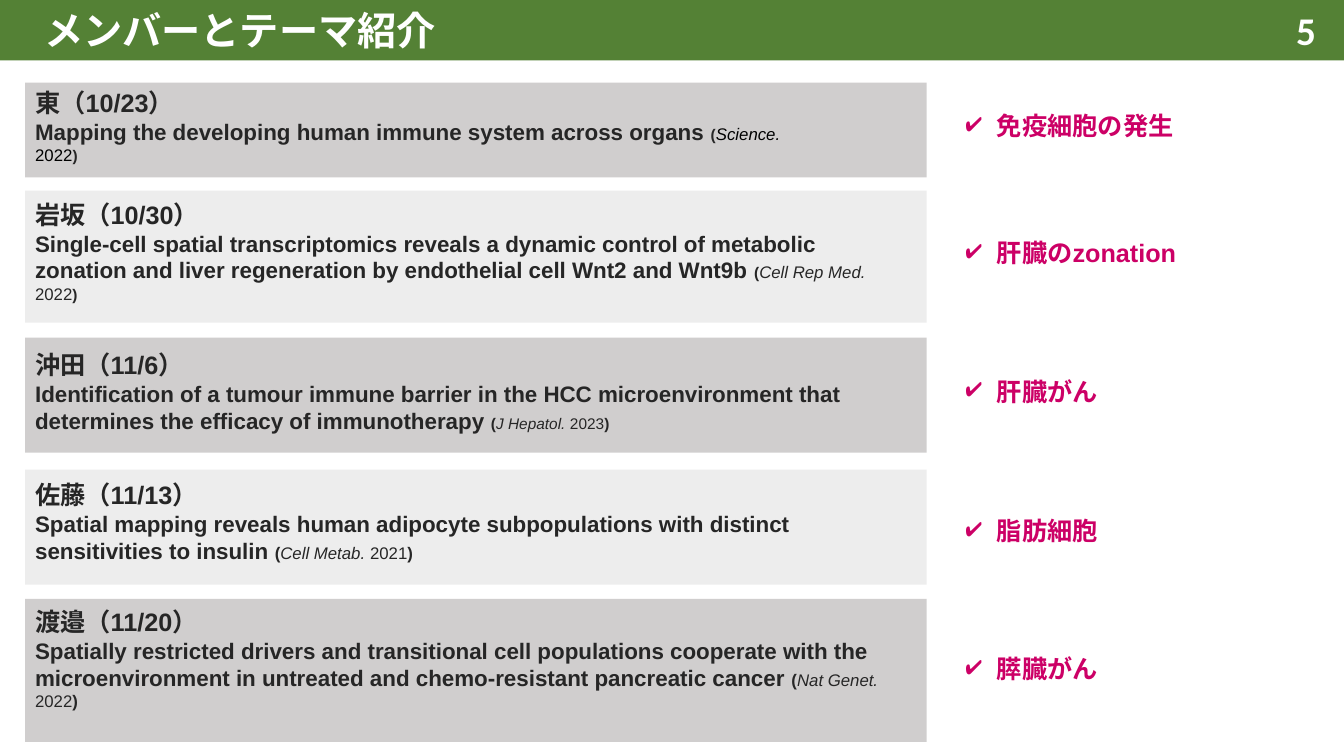
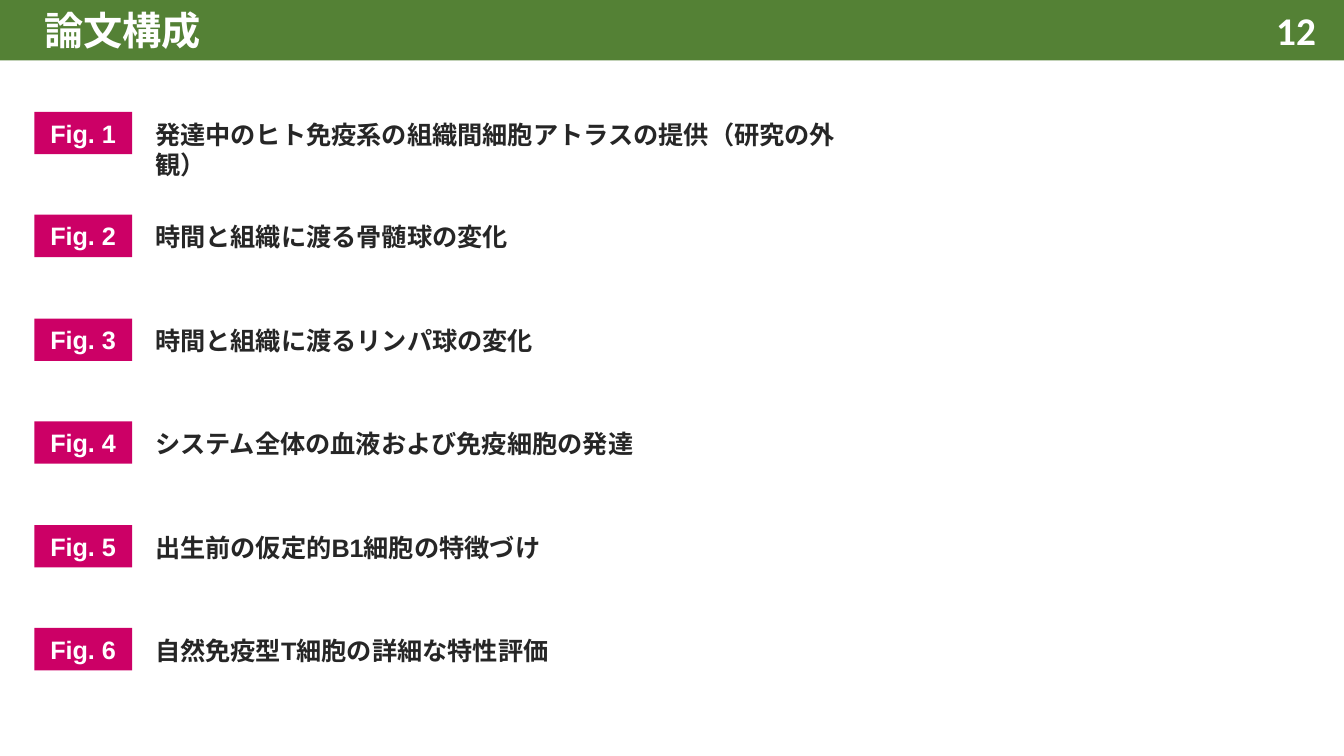
"""Build the member and paper-outline slides."""
import pptx
import pptx.util
import pptx.dml.color
import pptx.enum.lang
import pptx.enum.shapes
import pptx.enum.text
import pptx.oxml.ns
import lxml.etree

PX = 9144
WIDE, HIGH = 1333, 750
ALIGN = pptx.enum.text.PP_ALIGN
MID = pptx.enum.text.MSO_ANCHOR.MIDDLE

THEME = {
    "green": "548135", "pink": "CC0066", "ink": "262626",
    "white": "FFFFFF", "black": "000000", "bands": ("D0CECE", "EDEDED"),
    "font": "Arial", "digit": "Calibri",
    "head": 28, "body": 18, "paper": 16,
}

MEMBERS = [
    {"name": "東（10/23）", "topic": "免疫細胞の発生",
     "paper": "Mapping the developing human immune system across organs",
     "source": ("Science. ", "2022"), "sizes": (11, 12), "tint": "black",
     "band": (82, 94), "text": (82, 802), "tick": 105},
    {"name": "岩坂（10/30）", "topic": "肝臓のzonation",
     "paper": "Single-cell spatial transcriptomics reveals a dynamic control of metabolic "
              "zonation and liver regeneration by endothelial cell Wnt2 and Wnt9b",
     "source": ("Cell Rep Med. ", "2022"), "sizes": (11, 12), "tint": "ink",
     "band": (189, 131), "text": (193, 877), "tick": 231},
    {"name": "沖田（11/6）", "topic": "肝臓がん",
     "paper": "Identification of a tumour immune barrier in the HCC microenvironment that "
              "determines the efficacy of immunotherapy",
     "source": ("J Hepatol. ", "2023"), "sizes": (11, 11), "tint": "ink",
     "band": (335, 114), "text": (342, 894), "tick": 368},
    {"name": "佐藤（11/13）", "topic": "脂肪細胞",
     "paper": "Spatial mapping reveals human adipocyte subpopulations with distinct "
              "sensitivities to insulin",
     "source": ("Cell Metab. ", "2021"), "sizes": (12, 12), "tint": "ink",
     "band": (466, 114), "text": (471, 877), "tick": 506},
    {"name": "渡邉（11/20）", "topic": "膵臓がん",
     "paper": "Spatially restricted drivers and transitional cell populations cooperate with the "
              "microenvironment in untreated and chemo-resistant pancreatic cancer",
     "source": ("Nat Genet. ", "2022"), "sizes": (12, 12), "tint": "ink",
     "band": (594, 142), "text": (597, 877), "tick": 643},
]

FIGURES = [
    "発達中のヒト免疫系の組織間細胞アトラスの提供（研究の外観）",
    "時間と組織に渡る骨髄球の変化",
    "時間と組織に渡るリンパ球の変化",
    "システム全体の血液および免疫細胞の発達",
    "出生前の仮定的B1細胞の特徴づけ",
    "自然免疫型T細胞の詳細な特性評価",
]


def paint(color):
    return pptx.dml.color.RGBColor.from_string(THEME.get(color, color))


def emu(box):
    return [pptx.util.Emu(side * PX) for side in box]


def write(para, text, color="ink", **style):
    run = para.add_run()
    run.text = text
    look = {"name": THEME["font"], "size": THEME["body"], "bold": True,
            "language_id": pptx.enum.lang.MSO_LANGUAGE_ID.JAPANESE, **style}
    look["size"] = pptx.util.Pt(look["size"])
    for key, value in look.items():
        setattr(run.font, key, value)
    run.font.color.rgb = paint(color)


def block(slide, box, color):
    shape = slide.shapes.add_shape(pptx.enum.shapes.MSO_SHAPE.RECTANGLE, *emu(box))
    shape.shadow.inherit = False
    shape.fill.solid()
    shape.fill.fore_color.rgb = paint(color)
    shape.line.fill.background()
    return shape


def label(slide, box, text="", anchor=pptx.enum.text.MSO_ANCHOR.TOP, align=ALIGN.LEFT, **style):
    frame = slide.shapes.add_textbox(*emu(box)).text_frame
    for key, value in {"word_wrap": True, "vertical_anchor": anchor}.items():
        setattr(frame, key, value)
    para = frame.paragraphs[0]
    para.alignment = align
    if text:
        write(para, text, **style)
    return frame


def tick(para):
    props = para._p.get_or_add_pPr()
    for key, value in {"marL": 31 * PX, "indent": -31 * PX}.items():
        props.set(key, str(value))
    name = pptx.oxml.ns.qn
    tint = lxml.etree.SubElement(props, name("a:buClr"))
    lxml.etree.SubElement(tint, name("a:srgbClr"), val=THEME["pink"])
    lxml.etree.SubElement(props, name("a:buChar"), char="✔")


def start(deck, title, number):
    slide = deck.slides.add_slide(deck.slide_layouts[6])
    block(slide, (0, 0, WIDE, 60), "green")
    style = {"anchor": MID, "size": THEME["head"], "color": "white"}
    label(slide, (1015, 10, 300, 40), number, align=ALIGN.RIGHT, name=THEME["digit"], **style)
    label(slide, (34, 0, 1140, 60), title, **style)
    return slide


def members(deck):
    slide = start(deck, "メンバーとテーマ紹介", "5")
    for row, member in enumerate(MEMBERS):
        top, tall = member["band"]
        block(slide, (25, top, 894, tall), THEME["bands"][row % 2])
        top, wide = member["text"]
        frame = label(slide, (25, top, wide, tall - 10), member["name"])
        para = frame.add_paragraph()
        outer, inner = member["sizes"]
        journal, year = member["source"]
        cite = {"size": inner, "bold": False, "color": member["tint"]}
        write(para, member["paper"] + " ", size=THEME["paper"])
        write(para, "(", size=outer)
        write(para, journal, italic=True, **cite)
        write(para, year, **cite)
        write(para, ")", size=outer)
        frame = label(slide, (948, member["tick"], 285, 40))
        tick(frame.paragraphs[0])
        write(frame.paragraphs[0], member["topic"], color="pink")


def outline(deck):
    slide = start(deck, "論文構成", "12")
    first, step = 111, 102.4
    for row, text in enumerate(FIGURES):
        top = round(first + row * step)
        tag = block(slide, (34, top, 97, 42), "pink")
        tag.text_frame.vertical_anchor = MID
        para = tag.text_frame.paragraphs[0]
        para.alignment = ALIGN.CENTER
        write(para, f"Fig. {row + 1}", color="white")
        label(slide, (144, top + 2, 710, 40), text)


def main():
    deck = pptx.Presentation()
    deck.slide_width, deck.slide_height = emu((WIDE, HIGH))
    members(deck)
    outline(deck)
    deck.save("out.pptx")


if __name__ == "__main__":
    main()
